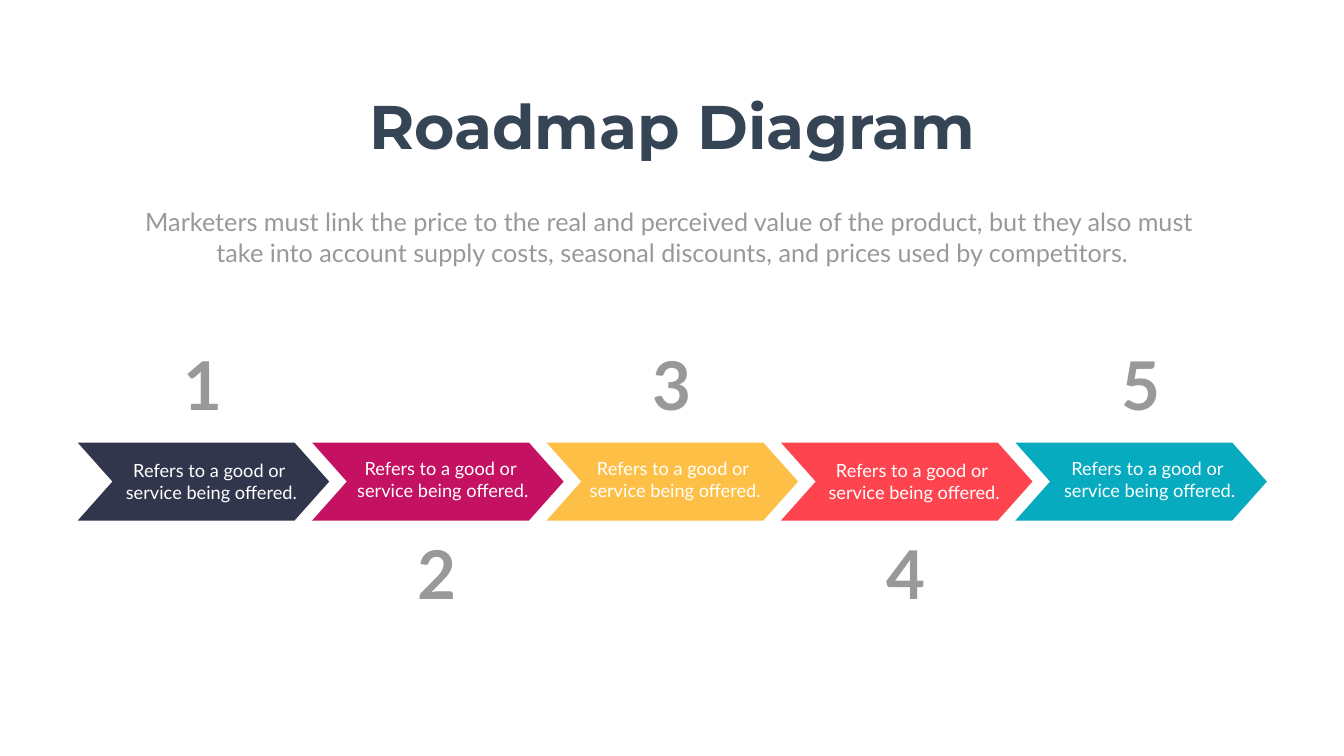
from pptx import Presentation
from pptx.dml.color import RGBColor
from pptx.enum.shapes import MSO_SHAPE as Shape
from pptx.enum.text import MSO_AUTO_SIZE as AutoSize, PP_ALIGN as Align
from pptx.util import Emu, Pt

PX = 9144
GRAY, WHITE, NAVY = "999999", "FFFFFF", "364556"
STEP_LEFT, STEP_TOP, STEP_PITCH = 154, 878, 465
STEP_WIDTH, STEP_HEIGHT, STEP_POINT = 499, 155, 69
NUMBER_OFFSET, NUMBER_ABOVE, NUMBER_BELOW = 200, 677, 1052
CAPTION = ["Refers to a good or ", "service being offered."]
INTRO = [
    "Marketers must link the price to the real and perceived value of the product, but they also must ",
    "take into account supply costs, seasonal discounts, and prices used by competitors.",
]
STEPS = [
    ("31364C", 232, 906),
    ("C41162", 691, 903),
    ("FEBF46", 1152, 903),
    ("FE444F", 1626, 906),
    ("06ABC0", 2093, 903),
]


def px(length):
    """Turn a length in px into EMU."""
    return Emu(length * PX)


def color(value):
    """Turn a hex string into a colour."""
    return RGBColor.from_string(value)


def add_chevron(slide, left, fill):
    """Draw one step of the roadmap."""
    shape = slide.shapes.add_shape(
        Shape.CHEVRON, px(left), px(STEP_TOP), px(STEP_WIDTH), px(STEP_HEIGHT))
    shape.adjustments[0] = STEP_POINT / STEP_HEIGHT
    shape.shadow.inherit = False
    shape.fill.solid()
    shape.fill.fore_color.rgb = color(fill)
    shape.line.fill.background()


def add_text(slide, box, lines, size, fill, font="Lato", bold=False,
             align=Align.CENTER, wrap=True):
    """Add a text box with one paragraph per line."""
    frame = slide.shapes.add_textbox(*map(px, box)).text_frame
    frame.word_wrap = wrap
    frame.auto_size = AutoSize.SHAPE_TO_FIT_TEXT
    for index, line in enumerate(lines):
        paragraph = frame.add_paragraph() if index else frame.paragraphs[0]
        paragraph.alignment = align
        run = paragraph.add_run()
        run.text = line
        run.font.name = font
        run.font.size = Pt(size)
        run.font.bold = bold
        run.font.color.rgb = color(fill)


def add_step(slide, index, fill, caption_left, caption_top):
    """Add a chevron with its caption and its number above or below."""
    left = STEP_LEFT + index * STEP_PITCH
    number_top = NUMBER_BELOW if index % 2 else NUMBER_ABOVE
    add_chevron(slide, left, fill)
    add_text(slide, (caption_left, caption_top, 375, 98), CAPTION, 26, WHITE)
    add_text(slide, (left + NUMBER_OFFSET, number_top, 98, 172), [str(index + 1)],
             96, GRAY, bold=True, align=Align.LEFT, wrap=False)


def main():
    """Build the roadmap slide."""
    presentation = Presentation()
    presentation.slide_width, presentation.slide_height = px(2666), px(1500)
    slide = presentation.slides.add_slide(presentation.slide_layouts[6])
    for index, step in enumerate(STEPS):
        add_step(slide, index, *step)
    add_text(slide, (262, 405, 2143, 131), INTRO, 36, GRAY)
    add_text(slide, (719, 169, 1228, 158), ["Roadmap Diagram"], 88, NAVY,
             font="Montserrat", bold=True, wrap=False)
    presentation.save("out.pptx")


if __name__ == "__main__":
    main()
